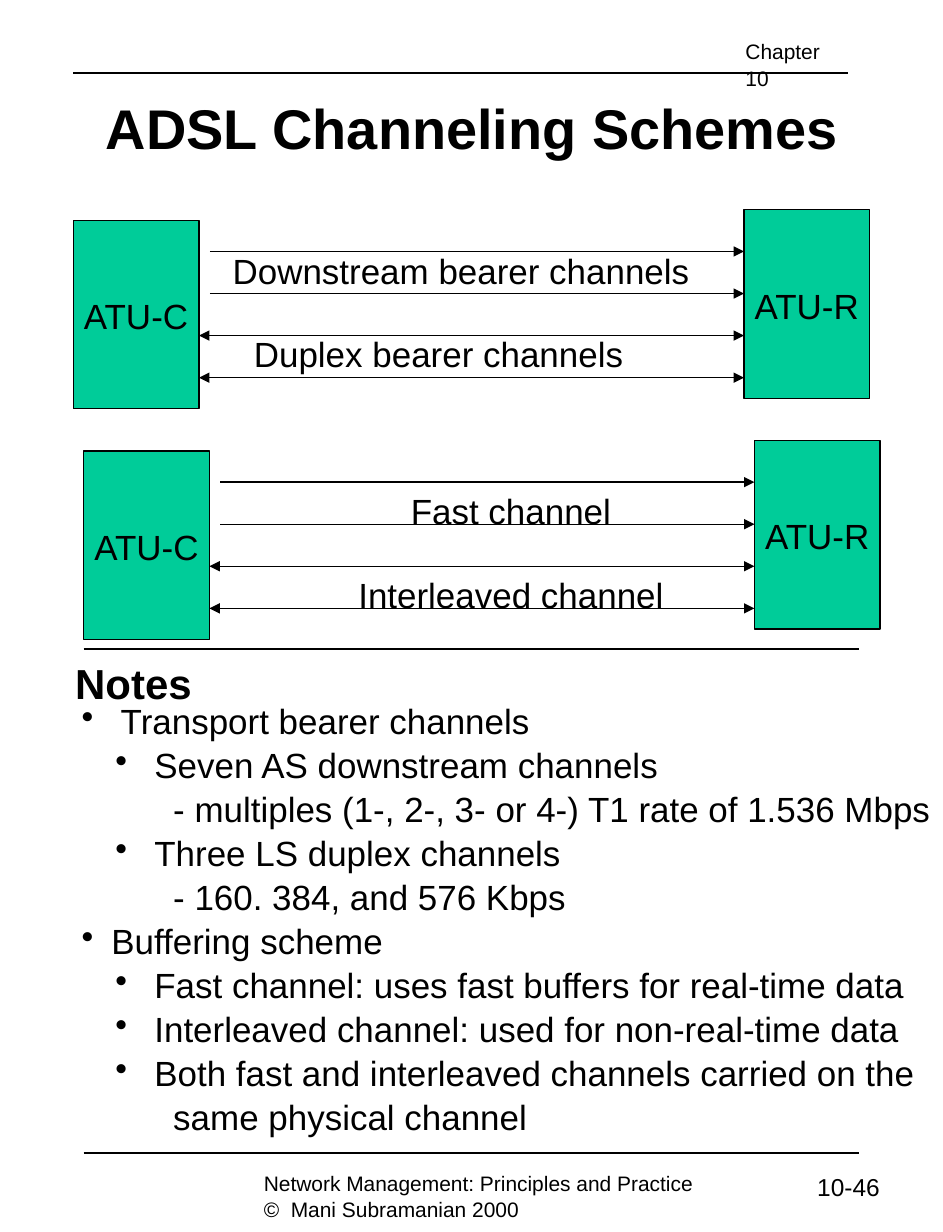
import lxml.etree
import pptx
import pptx.dml.color
import pptx.enum.shapes
import pptx.enum.text
import pptx.oxml.ns
import pptx.util

Cm = pptx.util.Cm
Pt = pptx.util.Pt
ALIGN = pptx.enum.text.PP_ALIGN
COLORS = {"ink": "000000", "unit": "00CC99"}
FONT = "Arial"

HEADINGS = [
    ("ADSL Channeling Schemes", (1.88, 1.7, 15.32, 1.63),
     {"size": 32, "bold": True, "align": ALIGN.CENTER}),
    ("Notes", (1.27, 13.11, 3, 1.27), {"size": 24, "bold": True}),
    ("Chapter 10", (14.81, 0.64, 2.59, 0.76), {"size": 12}),
    ("Network Management: Principles and Practice\n©  Mani Subramanian 2000",
     (5.08, 23.5, 9.19, 1.27), {"size": 12}),
    ("10-46", (16.26, 23.52, 1.78, 0.86), {"size": 14}),
]

RULES = [(1.48, 1.48), (1.69, 13.11), (1.69, 23.29)]
RULE_LENGTH = 15.66

SCHEMES = [
    {"origin": (1.48, 4.24),
     "labels": [("Downstream bearer channels", (4.45, 4.88, 9.93, 1.12)),
                ("Duplex bearer channels", (4.88, 6.55, 7.98, 1.12))]},
    {"origin": (1.69, 8.9),
     "labels": [("Fast channel", (8.05, 9.73, 4.75, 1.12)),
                ("Interleaved channel", (6.99, 11.43, 6.68, 1.12))]},
]
UNITS = [("ATU-C", 0, 0.21), ("ATU-R", 13.55, 0)]
UNIT_SIZE = (2.54, 3.81)
CHANNELS = [("one-way", 2.76), ("one-way", 2.76), ("duplex", 2.54), ("duplex", 2.54)]
CHANNEL_END = 13.55
CHANNEL_TOP = 0.84
CHANNEL_PITCH = 0.85

NOTES_AREA = (1.4, 13.97, 17.68, 8.74)
NOTES = [
    ("topic", "Transport bearer channels"),
    ("point", "Seven AS downstream channels"),
    ("detail", "- multiples (1-, 2-, 3- or 4-) T1 rate of 1.536 Mbps"),
    ("point", "Three LS duplex channels"),
    ("detail", "- 160. 384, and 576 Kbps"),
    ("short topic", "Buffering scheme"),
    ("point", "Fast channel: uses fast buffers for real-time data"),
    ("point", "Interleaved channel: used for non-real-time data"),
    ("point", "Both fast and interleaved channels carried on the"),
    ("detail", "same physical channel"),
]
INDENTS = {"topic": (0.79, 0.79), "short topic": (0.6, 0.6),
           "point": (1.47, 0.79), "detail": (1.85, 0)}


def rgb(name):
    return pptx.dml.color.RGBColor.from_string(COLORS[name])


def write(frame, text, size=20, bold=False, align=ALIGN.LEFT, levels=None):
    frame.word_wrap = False
    for row, line in enumerate(text.split("\n")):
        paragraph = frame.add_paragraph() if row else frame.paragraphs[0]
        paragraph.alignment = align
        paragraph.line_spacing = 1.05
        if levels:
            margin, hanging = INDENTS[levels[row]]
            properties = paragraph._p.get_or_add_pPr()
            properties.set("marL", str(Cm(margin)))
            properties.set("indent", str(-Cm(hanging)))
            if hanging:
                bullet = lxml.etree.SubElement(properties, pptx.oxml.ns.qn("a:buChar"))
                bullet.set("char", "•")
        run = paragraph.add_run()
        run.text = line
        run.font.name = FONT
        run.font.size = Pt(size)
        run.font.bold = bold
        run.font.color.rgb = rgb("ink")


def add_text(slide, text, area, **style):
    frame = slide.shapes.add_textbox(*map(Cm, area)).text_frame
    frame.auto_size = pptx.enum.text.MSO_AUTO_SIZE.SHAPE_TO_FIT_TEXT
    write(frame, text, **style)


def add_line(slide, left, right, y, width, arrows=()):
    line = slide.shapes.add_connector(
        pptx.enum.shapes.MSO_CONNECTOR.STRAIGHT, Cm(left), Cm(y), Cm(right), Cm(y))
    line.line.color.rgb = rgb("ink")
    line.line.width = Pt(width)
    outline = line.line._get_or_add_ln()
    for end in arrows:
        lxml.etree.SubElement(outline, pptx.oxml.ns.qn(end)).set("type", "triangle")
    lxml.etree.SubElement(line._element.spPr, pptx.oxml.ns.qn("a:effectLst"))


def add_unit(slide, name, left, top):
    unit = slide.shapes.add_shape(
        pptx.enum.shapes.MSO_SHAPE.RECTANGLE, Cm(left), Cm(top), *map(Cm, UNIT_SIZE))
    unit.shadow.inherit = False
    unit.fill.solid()
    unit.fill.fore_color.rgb = rgb("unit")
    unit.line.color.rgb = rgb("ink")
    unit.line.width = Pt(0.75)
    unit.text_frame.vertical_anchor = pptx.enum.text.MSO_ANCHOR.MIDDLE
    write(unit.text_frame, name, align=ALIGN.CENTER)


def add_scheme(slide, origin, labels):
    x, y = origin
    for name, left, top in UNITS:
        add_unit(slide, name, x + left, y + top)
    for row, (direction, start) in enumerate(CHANNELS):
        arrows = ("a:headEnd", "a:tailEnd") if direction == "duplex" else ("a:tailEnd",)
        add_line(slide, x + start, x + CHANNEL_END,
                 y + CHANNEL_TOP + row * CHANNEL_PITCH, 0.75, arrows)
    for label, area in labels:
        add_text(slide, label, area)


def main():
    """Build the ADSL channeling schemes page."""
    deck = pptx.Presentation()
    deck.slide_width, deck.slide_height = Cm(19.05), Cm(24.89)
    slide = deck.slides.add_slide(deck.slide_layouts[6])
    for left, y in RULES:
        add_line(slide, left, left + RULE_LENGTH, y, 1)
    for text, area, style in HEADINGS:
        add_text(slide, text, area, **style)
    levels, lines = zip(*NOTES)
    add_text(slide, "\n".join(lines), NOTES_AREA, levels=levels)
    for scheme in SCHEMES:
        add_scheme(slide, **scheme)
    deck.save("out.pptx")


if __name__ == "__main__":
    main()
